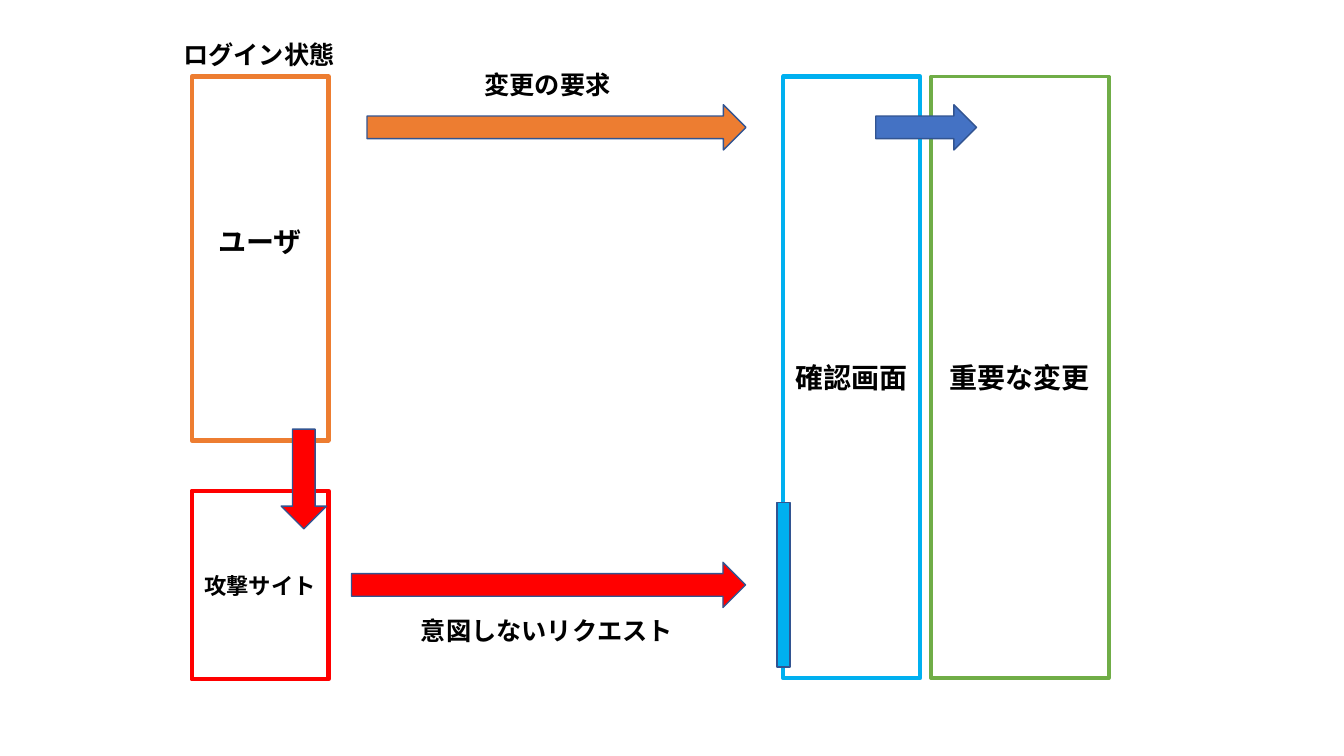
from lxml import etree
from pptx import Presentation
from pptx import util as u
from pptx.dml.color import RGBColor
from pptx.enum import shapes, text
from pptx.oxml import ns

FONT = "Noto Sans CJK JP"
WHITE = RGBColor(0xFF, 0xFF, 0xFF)
BLACK = RGBColor(0, 0, 0)
ORANGE = RGBColor(0xED, 0x7D, 0x31)
RED = RGBColor(0xFF, 0, 0)
SKY = RGBColor(0, 0xB0, 0xF0)
GREEN = RGBColor(0x70, 0xAD, 0x47)
BLUE = RGBColor(0x44, 0x72, 0xC4)
NAVY = RGBColor(0x32, 0x54, 0x91)

RECT = shapes.MSO_SHAPE.RECTANGLE
ARROW = shapes.MSO_SHAPE.RIGHT_ARROW
TOP = 1.93
LEFT = 4.83
NARROW = 3.45
TALL = 15.16
THICK = 1.14


def place(box):
    return [u.Cm(n) for n in box]


def style(para, size):
    for run in para.runs:
        font = run.font
        font.size = u.Pt(size)
        font.bold = True
        font.color.rgb = BLACK
        font.name = FONT
        east = etree.SubElement(run._r.get_or_add_rPr(), ns.qn("a:ea"))
        east.set("typeface", FONT)


def add_form(slide, kind, box, fill, line, width=1):
    form = slide.shapes.add_shape(kind, *place(box))
    form.shadow.inherit = False
    form.fill.solid()
    form.fill.fore_color.rgb = fill
    form.line.color.rgb = line
    form.line.width = u.Pt(width)
    return form


def add_box(slide, box, words, line, width=3, size=20):
    form = add_form(slide, RECT, box, WHITE, line, width)
    frame = form.text_frame
    frame.text = words
    frame.word_wrap = True
    frame.vertical_anchor = text.MSO_ANCHOR.MIDDLE
    para = frame.paragraphs[0]
    para.alignment = text.PP_ALIGN.CENTER
    style(para, size)
    return form


def add_arrow(slide, left, top, width, fill, turn=0):
    arrow = add_form(slide, ARROW, (left, top, width, THICK), fill, NAVY)
    arrow.rotation = turn


def add_label(slide, left, top, width, words):
    label = slide.shapes.add_textbox(*place((left, top, width, 1.02)))
    frame = label.text_frame
    frame.text = words
    frame.word_wrap = False
    frame.auto_size = text.MSO_AUTO_SIZE.SHAPE_TO_FIT_TEXT
    style(frame.paragraphs[0], 18)


def main():
    deck = Presentation()
    deck.slide_width = u.Cm(33.87)
    deck.slide_height = u.Cm(19.05)
    slide = deck.slides.add_slide(deck.slide_layouts[6])

    add_box(slide, (23.47, TOP, 4.47, TALL), "重要な変更", GREEN, 2.75)
    add_box(slide, (19.74, TOP, NARROW, TALL), "確認画面", SKY)
    user = add_box(slide, (LEFT, TOP, NARROW, 9.17), "ユーザ", ORANGE)
    user.text_frame.margin_bottom = u.Cm(1)
    add_box(slide, (LEFT, 12.37, NARROW, 4.75), "攻撃サイト", RED, size=16)

    add_arrow(slide, 9.25, 2.64, 9.55, ORANGE)
    add_arrow(slide, 22.07, 2.64, 2.54, BLUE)
    add_arrow(slide, 6.4, 11.5, 2.51, RED, 90)
    add_arrow(slide, 8.86, 14.17, 9.93, RED)

    add_label(slide, 11.96, 1.63, 3.71, "変更の要求")
    add_label(slide, 4.37, 0.86, 4.37, "ログイン状態")
    add_label(slide, 10.36, 15.39, 6.93, "意図しないリクエスト")

    add_form(slide, RECT, (19.58, 12.67, 0.33, 4.14), SKY, NAVY)
    deck.save("out.pptx")


if __name__ == "__main__":
    main()
